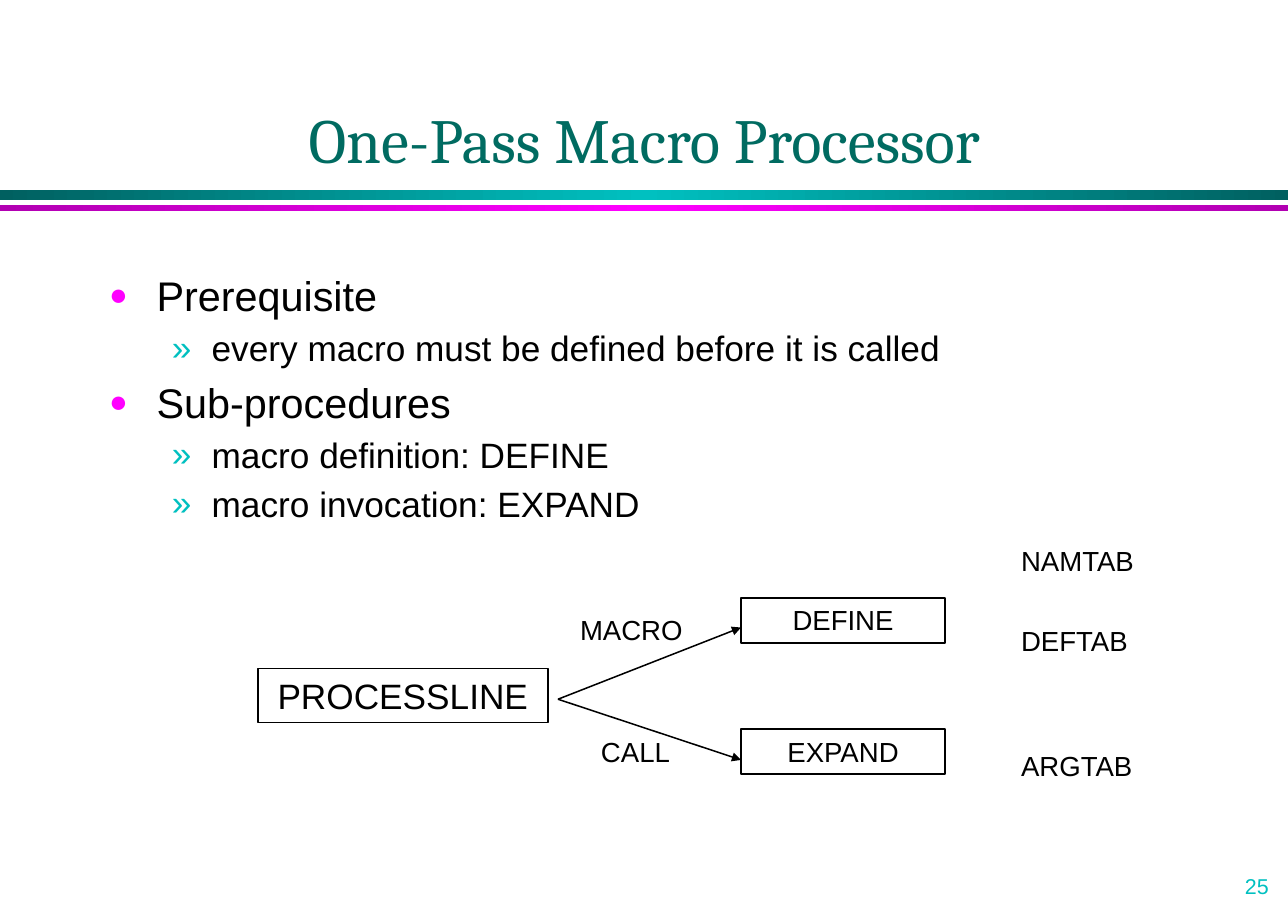
from copy import deepcopy

from lxml import etree
from pptx import Presentation
from pptx.dml.color import RGBColor
from pptx.enum.shapes import MSO_CONNECTOR, MSO_SHAPE
from pptx.enum.text import MSO_ANCHOR, PP_ALIGN
from pptx.oxml.ns import qn
from pptx.util import Inches, Pt

RECTANGLE = MSO_SHAPE.RECTANGLE
STRAIGHT = MSO_CONNECTOR.STRAIGHT
LEFT, CENTER = PP_ALIGN.LEFT, PP_ALIGN.CENTER
TOP, BOTTOM = MSO_ANCHOR.TOP, MSO_ANCHOR.BOTTOM

BLACK = RGBColor(0x00, 0x00, 0x00)
TITLE_GREEN = RGBColor(0x00, 0x6B, 0x61)
TEAL = RGBColor(0x00, 0xC0, 0xC0)
DARK_TEAL = RGBColor(0x00, 0x60, 0x60)
MAGENTA = RGBColor(0xFF, 0x00, 0xFF)
DARK_MAGENTA = RGBColor(0xB2, 0x00, 0xB2)

SLIDE_WIDTH = 11.68
# Per outline level: text size, space before, left margin, hanging indent,
# bullet character, bullet colour, bullet size in percent
LEVELS = [
    (27, 5, 0.43, 0.43, "●", MAGENTA, 75),
    (23, 4.5, 0.93, 0.36, "»", TEAL, 100),
]
OUTLINE = [
    (0, "Prerequisite"),
    (1, "every macro must be defined before it is called"),
    (0, "Sub-procedures"),
    (1, "macro definition: DEFINE"),
    (1, "macro invocation: EXPAND"),
]


def style_font(font, size, color=BLACK, name="Arial"):
    font.size = Pt(size)
    font.name = name
    font.color.rgb = color


def set_margins(frame, side, vertical):
    frame.margin_left = frame.margin_right = Inches(side)
    frame.margin_top = frame.margin_bottom = Inches(vertical)


def add_band(slide, top, height, edge, middle):
    band = slide.shapes.add_shape(RECTANGLE, 0, Inches(top),
                                  Inches(SLIDE_WIDTH), Inches(height))
    band.shadow.inherit = False
    band.line.fill.background()
    band.fill.gradient()
    band.fill.gradient_angle = 0
    stop_list = band.element.spPr.find(".//" + qn("a:gsLst"))
    stop_list.append(deepcopy(stop_list[0]))
    colors = [(0, edge), (0.5, middle), (1, edge)]
    for stop, (position, color) in zip(band.fill.gradient_stops, colors):
        stop.position = position
        stop.color.rgb = color


def add_label(slide, text, left, top, width, height, size=18, color=BLACK,
              name="Arial", align=LEFT, anchor=TOP, wrap=False):
    label = slide.shapes.add_textbox(Inches(left), Inches(top),
                                     Inches(width), Inches(height))
    frame = label.text_frame
    frame.text = text
    frame.word_wrap = wrap
    frame.vertical_anchor = anchor
    set_margins(frame, 0.11, 0.06)
    frame.paragraphs[0].alignment = align
    style_font(frame.paragraphs[0].runs[0].font, size, color, name)


def add_bullet(paragraph, level):
    _, _, margin, hanging, character, color, percent = LEVELS[level]
    properties = paragraph._p.get_or_add_pPr()
    properties.set("marL", str(Inches(margin)))
    properties.set("indent", str(-Inches(hanging)))
    bullet_color = etree.SubElement(properties, qn("a:buClr"))
    etree.SubElement(bullet_color, qn("a:srgbClr"), val=str(color))
    etree.SubElement(properties, qn("a:buSzPct"), val=str(percent * 1000))
    etree.SubElement(properties, qn("a:buFont"), typeface="Arial")
    etree.SubElement(properties, qn("a:buChar"), char=character)


def add_outline(slide, left, top, width, height):
    outline = slide.shapes.add_textbox(Inches(left), Inches(top),
                                       Inches(width), Inches(height))
    frame = outline.text_frame
    frame.word_wrap = True
    set_margins(frame, 0.11, 0.06)
    frame.text = "\n".join(text for _, text in OUTLINE)
    for index, (paragraph, (level, _)) in enumerate(zip(frame.paragraphs, OUTLINE)):
        size, space = LEVELS[level][:2]
        paragraph.level = level
        add_bullet(paragraph, level)
        if index:
            paragraph.space_before = Pt(space)
        style_font(paragraph.runs[0].font, size)


def add_procedure(slide, text, left, top, width, height, size=18):
    procedure = slide.shapes.add_shape(RECTANGLE, Inches(left), Inches(top),
                                       Inches(width), Inches(height))
    procedure.shadow.inherit = False
    procedure.fill.background()
    procedure.line.color.rgb = BLACK
    procedure.line.width = Pt(1)
    frame = procedure.text_frame
    frame.text = text
    frame.vertical_anchor = TOP
    frame.paragraphs[0].alignment = CENTER
    style_font(frame.paragraphs[0].runs[0].font, size)


def add_arrow(slide, start, end):
    arrow = slide.shapes.add_connector(STRAIGHT, *map(Inches, start + end))
    arrow.line.color.rgb = BLACK
    arrow.line.width = Pt(1)
    etree.SubElement(arrow.line._get_or_add_ln(), qn("a:tailEnd"), type="triangle")
    etree.SubElement(arrow.element.spPr, qn("a:effectLst"))


def main():
    presentation = Presentation()
    presentation.slide_width = Inches(SLIDE_WIDTH)
    presentation.slide_height = Inches(8.26)
    slide = presentation.slides.add_slide(presentation.slide_layouts[6])

    # Header bands, page number and title
    add_band(slide, 1.72, 0.09, DARK_TEAL, TEAL)
    add_band(slide, 1.86, 0.05, DARK_MAGENTA, MAGENTA)
    add_label(slide, "25", 11.18, 7.86, 0.47, 0.35, 14, TEAL)
    add_label(slide, "One-Pass Macro Processor", 0.88, 0.28, 9.93, 1.38, 41,
              TITLE_GREEN, "Cambria", CENTER, BOTTOM, True)

    # Bulleted outline
    add_outline(slide, 0.88, 2.39, 9.93, 4.96)

    # Procedures and the calls between them
    add_procedure(slide, "PROCESSLINE", 2.34, 6.06, 2.63, 0.49, 23)
    for text, top, arrow_end in [("DEFINE", 5.42, 5.69), ("EXPAND", 6.61, 6.89)]:
        add_procedure(slide, text, 6.72, top, 1.85, 0.41)
        add_arrow(slide, (5.06, 6.34), (6.72, arrow_end))
    add_label(slide, "MACRO", 5.15, 5.5, 1.25, 0.42)
    add_label(slide, "CALL", 5.34, 6.6, 0.95, 0.42)

    # Data tables
    for text, top in [("NAMTAB", 4.87), ("DEFTAB", 5.6), ("ARGTAB", 6.73)]:
        add_label(slide, text, 9.15, top, 1.3, 0.42)

    presentation.save("out.pptx")


if __name__ == "__main__":
    main()
